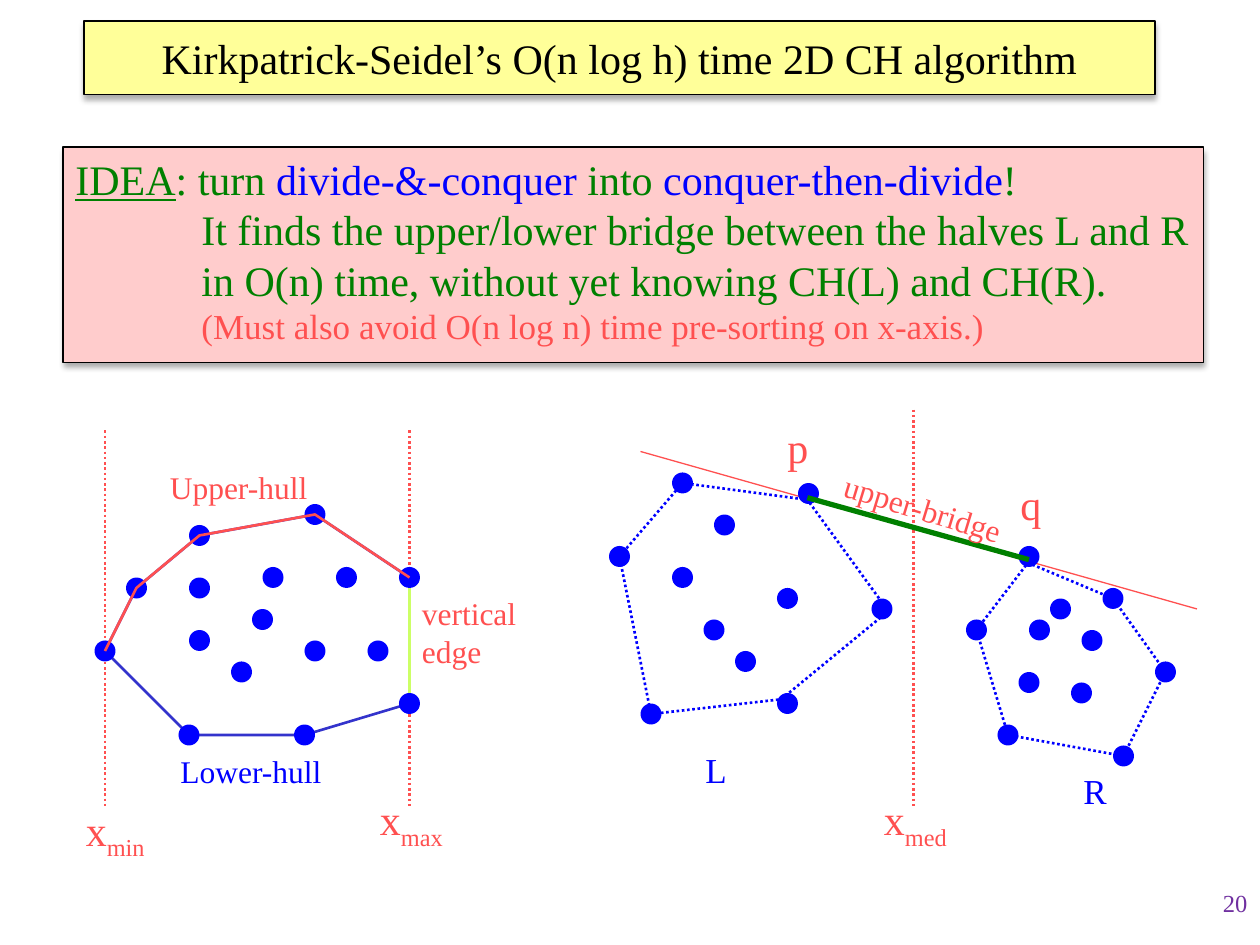
from dataclasses import dataclass
from typing import Optional

from lxml.etree import SubElement
from pptx import Presentation
from pptx.dml.color import RGBColor
from pptx.enum.dml import MSO_LINE as Dash
from pptx.enum.shapes import MSO_CONNECTOR as Connector, MSO_SHAPE as Preset
from pptx.enum.text import MSO_ANCHOR as Anchor, MSO_AUTO_SIZE as AutoSize, PP_ALIGN as Align
from pptx.oxml.ns import qn
from pptx.util import Cm, Pt

FONT = "Times New Roman"
BLACK = RGBColor(0x00, 0x00, 0x00)
BLUE = RGBColor(0x00, 0x00, 0xFF)
INDIGO = RGBColor(0x33, 0x33, 0xCC)
RED = RGBColor(0xFF, 0x50, 0x50)
GREEN = RGBColor(0x00, 0x80, 0x00)
LIME = RGBColor(0xCC, 0xFF, 0x66)
PURPLE = RGBColor(0x70, 0x30, 0xA0)
PINK = RGBColor(0xFF, 0xCC, 0xCC)
YELLOW = RGBColor(0xFF, 0xFF, 0x99)
STEPS_PER_INCH = 12

Point = tuple[float, float]
Box = tuple[float, float, float, float]


@dataclass(frozen=True)
class Span:
    text: str
    color: Optional[RGBColor] = None
    size: Optional[float] = None
    underline: bool = False
    subscript: bool = False


@dataclass(frozen=True)
class Label:
    box: Box
    lines: list[list[Span]]
    size: float = 24
    color: RGBColor = RED
    rotation: float = 0


@dataclass(frozen=True)
class Rule:
    start: Point
    end: Point
    color: RGBColor = RED
    width: float = 1.5
    dash: Optional[Dash] = None


@dataclass(frozen=True)
class Outline:
    points: list[Point]
    color: RGBColor
    width: float = 1.5
    dash: Optional[Dash] = None
    closed: bool = True


def grid(steps: float) -> Cm:
    return Cm(2.54 * steps / STEPS_PER_INCH)


def place(box: Box) -> list[Cm]:
    return [grid(steps) for steps in box]


def write(frame, lines: list[list[Span]], *, size: float, color: RGBColor,
          align: Align = Align.LEFT, wrap: bool = False, grow: bool = True,
          anchor: Anchor = Anchor.TOP, hanging: float = 0) -> None:
    frame.word_wrap = wrap
    frame.auto_size = AutoSize.SHAPE_TO_FIT_TEXT if grow else AutoSize.NONE
    frame.vertical_anchor = anchor
    for index, spans in enumerate(lines):
        paragraph = frame.add_paragraph() if index else frame.paragraphs[0]
        paragraph.alignment = align
        if index and hanging:
            properties = paragraph._p.get_or_add_pPr()
            properties.set("marL", str(grid(hanging)))
            properties.set("indent", "0")
        for span in spans:
            run = paragraph.add_run()
            run.text = span.text
            run.font.name = FONT
            run.font.size = Pt(span.size or size)
            run.font.color.rgb = span.color or color
            if span.underline:
                run.font.underline = True
            if span.subscript:
                run.font._element.set("baseline", "-25000")


def stroke(line, color: RGBColor, width: float, dash: Optional[Dash] = None) -> None:
    line.color.rgb = color
    line.width = Pt(width)
    if dash is not None:
        line.dash_style = dash


def style_panel(panel, fill: RGBColor) -> None:
    panel.fill.solid()
    panel.fill.fore_color.rgb = fill
    stroke(panel.line, BLACK, 0.75)
    panel.shadow.inherit = False
    effects = panel._element.spPr.find(qn("a:effectLst"))
    shadow = SubElement(effects, qn("a:outerShdw"), blurRad=str(Pt(3.5)),
                        dist=str(Pt(2.2)), dir="5400000", rotWithShape="0")
    tint = SubElement(shadow, qn("a:srgbClr"), val=str(BLACK))
    SubElement(tint, qn("a:alpha"), val="32000")


def draw_label(shapes, label: Label) -> None:
    holder = shapes.add_textbox(*place(label.box))
    holder.rotation = label.rotation
    write(holder.text_frame, label.lines, size=label.size, color=label.color)


def draw_rule(shapes, rule: Rule) -> None:
    connector = shapes.add_connector(Connector.STRAIGHT, *place(rule.start + rule.end))
    stroke(connector.line, rule.color, rule.width, rule.dash)
    SubElement(connector._element.spPr, qn("a:effectLst"))


def draw_outline(shapes, outline: Outline) -> None:
    start, *others = [(grid(x), grid(y)) for x, y in outline.points]
    builder = shapes.build_freeform(*start)
    builder.add_line_segments(others, close=outline.closed)
    shape = builder.convert_to_shape()
    shape.fill.background()
    stroke(shape.line, outline.color, outline.width, outline.dash)
    shape.shadow.inherit = False


def draw_dot(shapes, center: Point) -> None:
    x, y = center
    dot = shapes.add_shape(Preset.OVAL, *place((x - 1, y - 1, 2, 2)))
    dot.fill.solid()
    dot.fill.fore_color.rgb = BLUE
    dot.line.fill.background()
    dot.shadow.inherit = False


def divider(x: float, top: float) -> Rule:
    return Rule((x, top), (x, 77), dash=Dash.ROUND_DOT)


def axis_label(box: Box, subscript: str) -> Label:
    return Label(box, [[Span("x"), Span(subscript, subscript=True)]])


UPPER_HULL = [(10, 62), (13, 56), (19, 51), (30, 49), (39, 55)]
LOWER_HULL = [(39, 67), (29, 70), (18, 70)]
HULL_INSIDE = [(25, 59), (19, 56), (23, 64), (30, 62), (19, 61), (26, 55), (36, 62), (33, 55)]
LEFT_DOTS = [(75, 67), (62, 68), (59, 53), (65, 46), (77, 47), (84, 58),
             (75, 57), (71, 63), (65, 55), (68, 60), (69, 50)]
RIGHT_DOTS = [(93, 60), (96, 70), (107, 72), (111, 64), (106, 57), (98, 53),
              (103, 66), (99, 60), (104, 61), (98, 65), (101, 58)]
LEFT_HULL = [(84.6, 58.2), (76.9, 47.6), (65, 46), (59, 53), (62, 68), (74.4, 66.6)]
RIGHT_HULL = [(93, 60), (97.9, 53.6), (106, 57), (111, 64), (107, 72), (96, 70)]

BACK_OUTLINES = [Outline(UPPER_HULL + LOWER_HULL, INDIGO)] + [
    Outline(hull, BLUE, dash=Dash.ROUND_DOT) for hull in (LEFT_HULL, RIGHT_HULL)]
FRONT_OUTLINES = [
    Outline([(76.9, 47.4), (98, 53.3)], GREEN, 3, closed=False),
    Outline(UPPER_HULL, RED, closed=False),
]
RULES = [
    divider(39, 41), divider(10, 41), divider(87, 39),
    Rule((39, 55), (39, 67), LIME, 2.25),
    Rule((61, 43), (114, 58), width=0.75),
]
LABELS = [
    axis_label((7, 76, 8.6, 6), "min"),
    axis_label((35, 75, 9, 6), "max"),
    axis_label((83, 75, 9, 6), "med"),
    Label((39, 56, 11.4, 8.4), [[Span("vertical")], [Span("edge")]], 18),
    Label((15, 44, 15.6, 4.8), [[Span("Upper-hull")]], 18),
    Label((16, 71, 16, 4.8), [[Span("Lower-hull")]], 18, BLUE),
    Label((66, 70.7, 4.4, 5.2), [[Span("L")]], 20, BLUE),
    Label((102, 72.7, 4.7, 5.2), [[Span("R")]], 20, BLUE),
    Label((73.8, 39.6, 4.4, 6), [[Span("p")]]),
    Label((96, 45, 4.4, 6), [[Span("q")]]),
    Label((79, 46, 17.9, 4.8), [[Span("upper-bridge")]], 18, rotation=17),
]
IDEA = [
    [Span("IDEA", underline=True), Span(": turn "), Span("divide-&-conquer ", BLUE),
     Span("into "), Span("conquer-then-divide", BLUE), Span("!")],
    [Span("It finds the upper/lower bridge between the halves L and R")],
    [Span("in O(n) time, without yet knowing CH(L) and CH(R).")],
    [Span("(Must also avoid O(n log n) time pre-sorting on x-axis.)", RED, 20)],
]


def main() -> None:
    deck = Presentation()
    deck.slide_width, deck.slide_height = Cm(25.4), Cm(19.05)
    slide = deck.slides.add_slide(deck.slide_layouts[5])
    shapes = slide.shapes

    title = shapes.title
    title.left, title.top, title.width, title.height = place((8, 2, 102, 7))
    style_panel(title, YELLOW)
    write(title.text_frame, [[Span("Kirkpatrick-Seidel’s O(n log h) time 2D CH algorithm")]],
          size=24, color=BLACK, align=Align.CENTER, wrap=True, grow=False, anchor=Anchor.MIDDLE)

    idea = shapes.add_shape(Preset.RECTANGLE, *place((6, 14, 108.6, 20.5)))
    style_panel(idea, PINK)
    write(idea.text_frame, IDEA, size=24, color=GREEN, hanging=12)

    for outline in BACK_OUTLINES:
        draw_outline(shapes, outline)
    for rule in RULES:
        draw_rule(shapes, rule)
    for center in HULL_INSIDE + UPPER_HULL + LOWER_HULL + LEFT_DOTS + RIGHT_DOTS:
        draw_dot(shapes, center)
    for outline in FRONT_OUTLINES:
        draw_outline(shapes, outline)
    for label in LABELS:
        draw_label(shapes, label)

    page_number = shapes.add_textbox(*place((95, 84, 25, 6)))
    write(page_number.text_frame, [[Span("20")]], size=14, color=PURPLE,
          align=Align.RIGHT, wrap=True, grow=False)
    deck.save("out.pptx")


if __name__ == "__main__":
    main()
